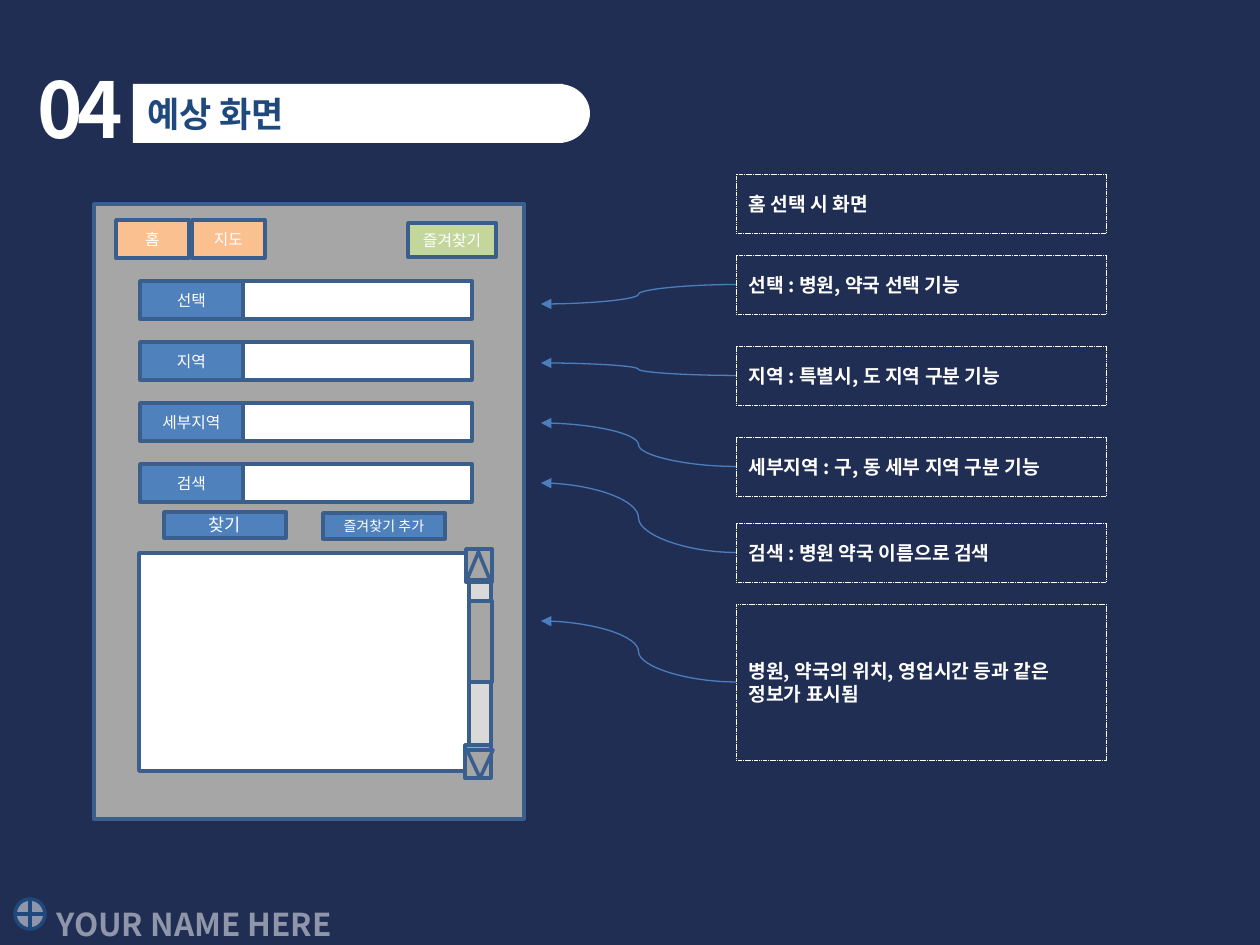
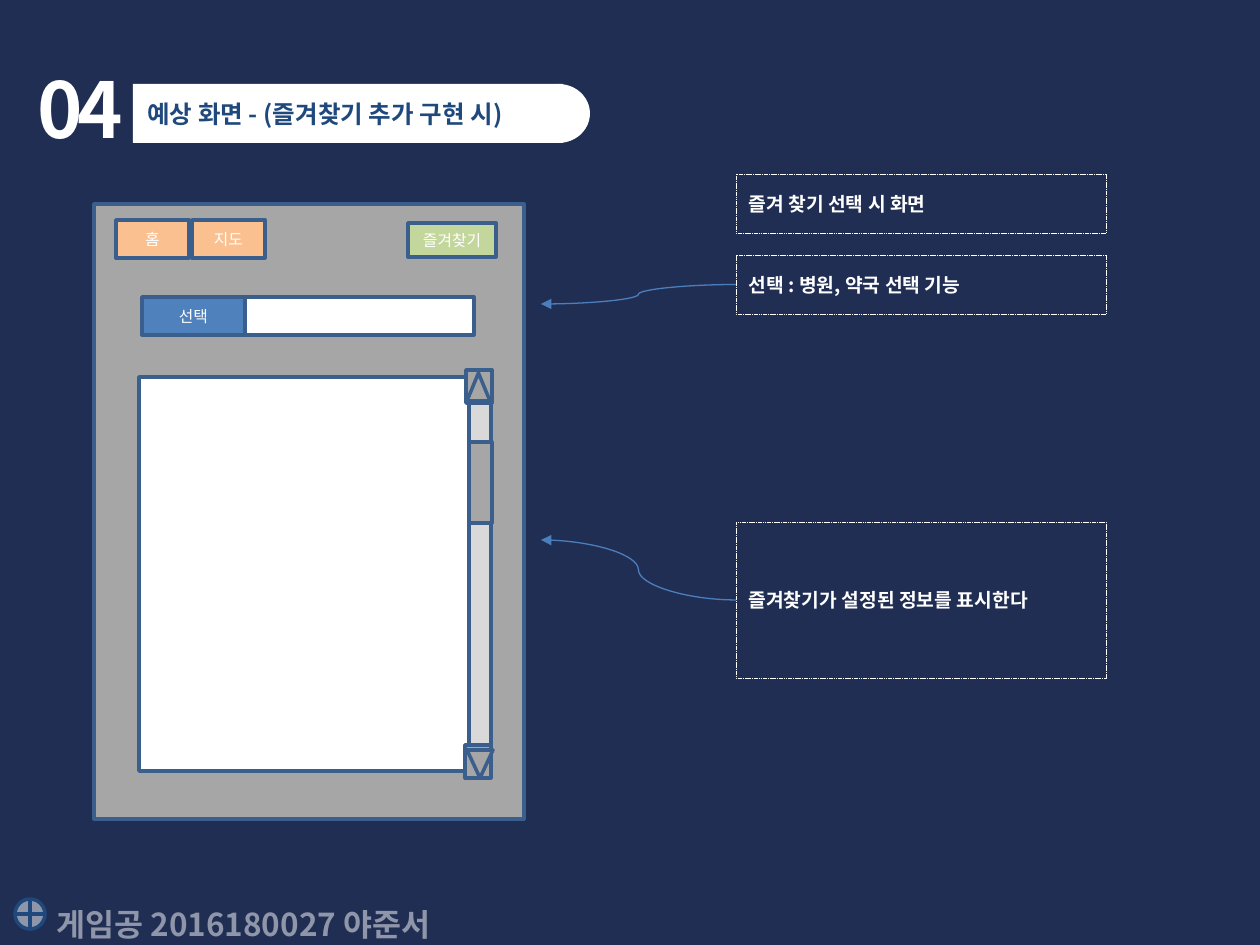
from dataclasses import dataclass
from lxml.etree import SubElement
from pptx import Presentation
from pptx.dml.color import RGBColor
from pptx.enum.dml import MSO_LINE
from pptx.enum.shapes import MSO_CONNECTOR, MSO_SHAPE
from pptx.enum.text import MSO_ANCHOR, MSO_AUTO_SIZE, PP_ALIGN
from pptx.oxml.ns import qn
from pptx.util import Emu, Pt


@dataclass(frozen=True)
class Theme:
    font: str = "Noto Sans CJK KR"
    navy: str = "212E53"
    white: str = "FFFFFF"
    title_blue: str = "1F497D"
    outline: str = "3A5F8C"
    label_blue: str = "4F81BD"
    arrow_blue: str = "4B7EBC"
    gray: str = "A6A6A6"
    track_gray: str = "D9D9D9"
    orange: str = "FAC090"
    green: str = "C3D69B"
    number_size: int = 44
    footer_size: int = 18
    note_size: int = 11
    control_size: int = 9
    border: float = 2
    hairline: float = 0.25
    arrow_width: float = 0.75


THEME = Theme()
PX_PER_INCH = 126
SLIDE_BOX = (0, 0, 1260, 945)
PHONE_BOX = (94, 204, 430, 615)
NOTES_BOX = (736, 174, 370, 586)
ARROW_TIP_X = 541
NOTE_HEIGHT, LONG_NOTE_HEIGHT = 59, 156


def px(length):
    return Emu(round(length * 914400 / PX_PER_INCH))


def place(origin, left, top, width, height):
    """Turn a box relative to origin into slide lengths."""
    return px(origin[0] + left), px(origin[1] + top), px(width), px(height)


def paint(fill, color, alpha=None):
    fill.solid()
    fill.fore_color.rgb = RGBColor.from_string(color)
    if alpha is not None:
        color_node = fill._xPr.find(qn("a:solidFill"))[0]
        SubElement(color_node, qn("a:alpha")).set("val", str(alpha * 1000))


def write(shape, text, size, color=THEME.white, bold=False, alpha=None,
          align=PP_ALIGN.LEFT):
    frame = shape.text_frame
    frame.word_wrap = True
    frame.text = text
    paragraph = frame.paragraphs[0]
    paragraph.alignment = align
    font = paragraph.runs[0].font
    font.size, font.bold, font.name = Pt(size), bold, THEME.font
    paint(font.fill, color, alpha)
    east_asian = SubElement(font._element, qn("a:ea"))
    east_asian.set("typeface", THEME.font)
    return font


def add_block(shapes, box, fill=None, line=THEME.outline, width=THEME.border,
              kind=MSO_SHAPE.RECTANGLE, alpha=None):
    block = shapes.add_shape(kind, *box)
    block.shadow.inherit = False
    if fill:
        paint(block.fill, fill, alpha)
    else:
        block.fill.background()
    if line:
        paint(block.line.fill, line)
        block.line.width = Pt(width)
    else:
        block.line.fill.background()
    return block


def add_button(shapes, box, text, fill, size=THEME.control_size):
    button = add_block(shapes, box, fill)
    write(button, text, size, align=PP_ALIGN.CENTER)
    button.text_frame.vertical_anchor = MSO_ANCHOR.MIDDLE


def add_label(shapes, box, text, size, **style):
    label = shapes.add_textbox(*box)
    font = write(label, text, size, bold=True, **style)
    label.text_frame.auto_size = MSO_AUTO_SIZE.SHAPE_TO_FIT_TEXT
    return font


# Title band and footer
def draw_frame(slide, box, title, title_size, footer):
    shapes = slide.shapes
    paint(slide.background.fill, THEME.navy)
    number = add_label(shapes, place(box, 25, 55, 139, 106), "04", THEME.number_size)
    number._element.set("spc", "-300")

    band = shapes.add_group_shape().shapes
    add_block(band, place(box, 133, 84, 430, 59), THEME.white, line=None)
    add_block(band, place(box, 527, 84, 63, 59), THEME.white, line=None,
              kind=MSO_SHAPE.OVAL)
    title_height = 2 * title_size + 15
    add_label(shapes, place(box, 135, 114 - title_height / 2, 437, title_height),
              title, title_size, color=THEME.title_blue)

    add_block(shapes, place(box, 15, 899, 30, 30), THEME.white, THEME.title_blue,
              kind=MSO_SHAPE.FLOWCHART_OR, alpha=50)
    add_label(shapes, place(box, 44, 899, 430, 50), footer, THEME.footer_size, alpha=50)


# Phone body with its tabs
def draw_phone(shapes, box):
    add_block(shapes, place(box, 0, 0, *box[2:]), THEME.gray)
    for column, tab in enumerate(("홈", "지도")):
        add_button(shapes, place(box, 22 + 76 * column, 16, 73, 38), tab, THEME.orange)
    add_button(shapes, place(box, 314, 19, 88, 34), "즐겨찾기", THEME.green)


# Labelled entry field
def draw_field(shapes, box, label):
    label_width = 103
    add_button(shapes, place(box, 0, 0, label_width, box[3]), label, THEME.label_blue)
    add_block(shapes, place(box, label_width, 0, box[2] - label_width, box[3]),
              THEME.white)


# Result list with scroll bar
def draw_results(shapes, box, track_top, thumb_top, up_top):
    height = box[3]
    down_top = height - 26
    add_block(shapes, place(box, 0, 0, box[2], height), THEME.white)
    add_block(shapes, place(box, 330, track_top, 22, height - 1 - track_top),
              THEME.track_gray)
    add_block(shapes, place(box, 330, thumb_top, 23, 81), THEME.gray)
    for left, top in ((327, up_top), (326, down_top)):
        add_block(shapes, place(box, left, top, 26, 33), THEME.gray)
    add_block(shapes, place(box, 328, up_top + 3, 23, 28), THEME.gray,
              kind=MSO_SHAPE.ISOSCELES_TRIANGLE)
    down_arrow = add_block(shapes, place(box, 328, down_top + 5, 26, 28), THEME.gray,
                           kind=MSO_SHAPE.ISOSCELES_TRIANGLE)
    down_arrow.rotation = 180


def draw_arrow(shapes, note, tip_y):
    arrow = shapes.add_connector(MSO_CONNECTOR.CURVE, note.left,
                                 note.top + note.height // 2, px(ARROW_TIP_X), px(tip_y))
    arrow.begin_connect(note, 1)
    paint(arrow.line.fill, THEME.arrow_blue)
    arrow.line.width = Pt(THEME.arrow_width)
    SubElement(arrow.line._get_or_add_ln(), qn("a:tailEnd")).set("type", "triangle")
    SubElement(arrow._element.spPr, qn("a:effectLst"))


# Notes, each with an arrow to the phone where a tip is given
def draw_notes(shapes, box, notes):
    for top, height, text, tip_y in notes:
        note = add_block(shapes, place(box, 0, top, box[2], height),
                         line=THEME.white, width=THEME.hairline)
        note.line.dash_style = MSO_LINE.SQUARE_DOT
        write(note, text, THEME.note_size, bold=True)
        note.text_frame.vertical_anchor = MSO_ANCHOR.MIDDLE
        if tip_y is not None:
            draw_arrow(shapes, note, tip_y)


def build_home(slide):
    shapes = slide.shapes
    left, top = PHONE_BOX[:2]
    draw_frame(slide, SLIDE_BOX, "예상 화면", 20, "YOUR NAME HERE")
    draw_phone(shapes, PHONE_BOX)
    for row, label in enumerate(("선택", "지역", "세부지역", "검색")):
        draw_field(shapes, (left + 46, top + 77 + 61 * row, 332, 38), label)
    add_button(shapes, place(PHONE_BOX, 70, 308, 122, 26), "찾기", THEME.label_blue, 10)
    add_button(shapes, place(PHONE_BOX, 229, 309, 122, 26), "즐겨찾기 추가",
               THEME.label_blue, 8)
    draw_results(shapes, (left + 45, top + 349, 336, 218),
                 track_top=-1, thumb_top=48, up_top=-4)
    draw_notes(shapes, NOTES_BOX, (
        (0, NOTE_HEIGHT, "홈 선택 시 화면", None),
        (81, NOTE_HEIGHT, "선택 : 병원, 약국 선택 기능", 304),
        (172, NOTE_HEIGHT, "지역 : 특별시, 도 지역 구분 기능", 363),
        (263, NOTE_HEIGHT, "세부지역 : 구, 동 세부 지역 구분 기능", 423),
        (349, NOTE_HEIGHT, "검색 : 병원 약국 이름으로 검색", 483),
        (430, LONG_NOTE_HEIGHT, "병원, 약국의 위치, 영업시간 등과 같은 정보가 표시됨", 621),
    ))


def build_favorites(slide):
    shapes = slide.shapes
    left, top = PHONE_BOX[:2]
    draw_frame(slide, SLIDE_BOX, "예상 화면 - (즐겨찾기 추가 구현 시)", 14,
               "게임공 2016180027 야준서")
    draw_phone(shapes, PHONE_BOX)
    draw_field(shapes, (left + 48, top + 93, 332, 38), "선택")
    draw_results(shapes, (left + 45, top + 173, 336, 394),
                 track_top=17, thumb_top=65, up_top=-7)
    draw_notes(shapes, NOTES_BOX, (
        (0, NOTE_HEIGHT, "즐겨 찾기 선택 시 화면", None),
        (81, NOTE_HEIGHT, "선택 : 병원, 약국 선택 기능", 304),
        (348, LONG_NOTE_HEIGHT, "즐겨찾기가 설정된 정보를 표시한다", 540),
    ))


def main():
    deck = Presentation()
    deck.slide_width, deck.slide_height = px(SLIDE_BOX[2]), px(SLIDE_BOX[3])
    blank = deck.slide_layouts[6]
    for build in (build_home, build_favorites):
        build(deck.slides.add_slide(blank))
    deck.save("out.pptx")


if __name__ == "__main__":
    main()
